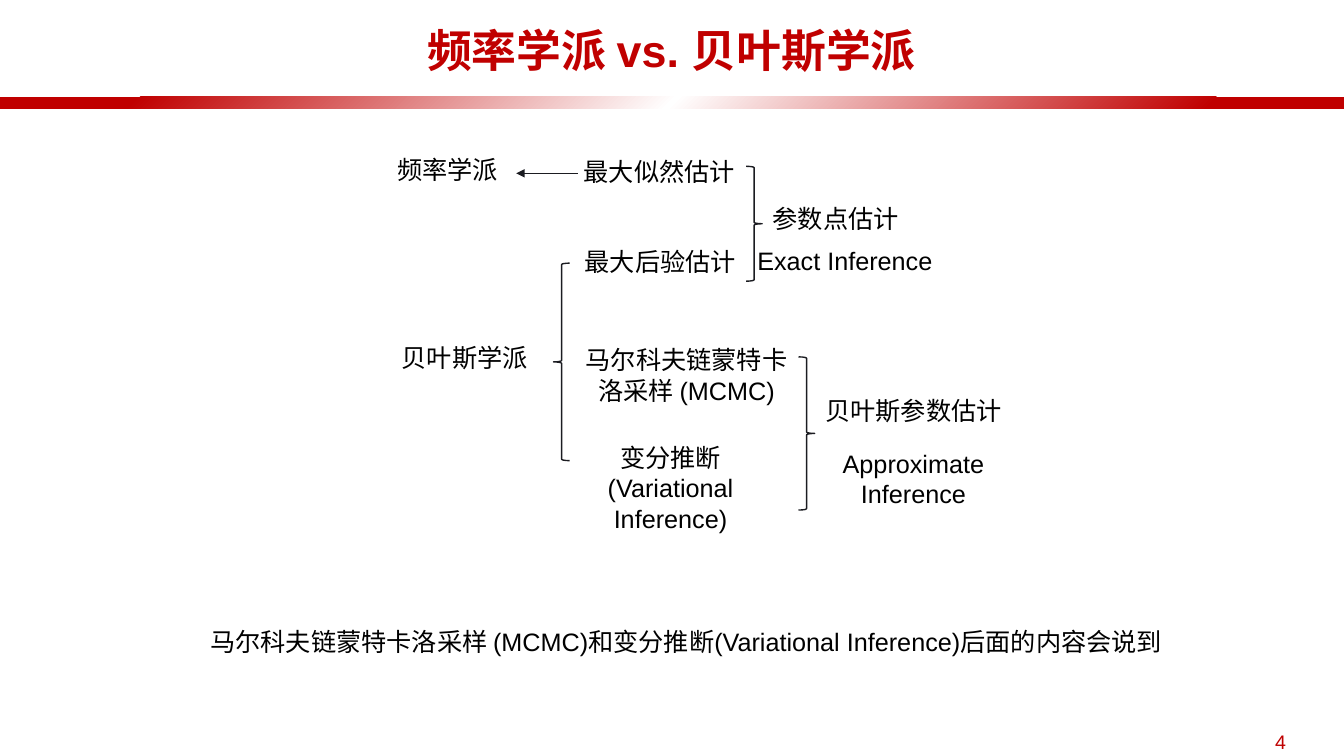
from dataclasses import dataclass

from lxml import etree
from pptx import Presentation
from pptx.dml.color import RGBColor
from pptx.enum.shapes import MSO_CONNECTOR, MSO_SHAPE
from pptx.enum.text import MSO_ANCHOR, MSO_AUTO_SIZE, PP_ALIGN
from pptx.oxml import parse_xml
from pptx.oxml.ns import nsdecls, qn
from pptx.slide import Slide
from pptx.text.text import TextFrame
from pptx.util import Inches, Pt

RECT, BRACE = MSO_SHAPE.RECTANGLE, MSO_SHAPE.RIGHT_BRACE
STRAIGHT = MSO_CONNECTOR.STRAIGHT
CENTER, MIDDLE, TOP = PP_ALIGN.CENTER, MSO_ANCHOR.MIDDLE, MSO_ANCHOR.TOP
GROW, FIXED = MSO_AUTO_SIZE.SHAPE_TO_FIT_TEXT, MSO_AUTO_SIZE.NONE


@dataclass(frozen=True)
class Theme:
    font: str = "Arial"
    accent: str = "C00000"
    white: str = "FFFFFF"
    text: str = "000000"
    line: str = "1B1C21"
    title_size: int = 32
    body_size: int = 18
    number_size: int = 14


@dataclass(frozen=True)
class Label:
    text: str
    left: float
    top: float
    width: float = 1.96
    height: float = 0.4


@dataclass(frozen=True)
class Brace:
    left: float
    top: float
    height: float
    rotation: int = 0
    width: float = 0.16


THEME = Theme()

LABELS = [
    # Schools
    Label("频率学派", 3.46, 1.48),
    Label("贝叶斯学派", 3.63, 3.35),
    # Methods
    Label("最大似然估计", 5.56, 1.5),
    Label("最大后验估计", 5.57, 2.39),
    Label("马尔科夫链蒙特卡洛采样 (MCMC)", 5.63, 3.37, 2.36, 0.71),
    Label("变分推断\n(Variational Inference)", 5.64, 4.34, 2.02, 1.01),
    # Kinds of inference
    Label("参数点估计", 7.31, 1.97),
    Label("Exact Inference", 7.4, 2.38),
    Label("贝叶斯参数估计", 8.08, 3.87),
    Label("Approximate Inference", 8.08, 4.4, height=0.71),
    # Closing remark
    Label("马尔科夫链蒙特卡洛采样 (MCMC)和变分推断(Variational Inference)后面的内容会说到",
          1.58, 6.16, 10.45),
]

BRACES = [
    Brace(7.4, 1.65, 1.14),
    Brace(5.49, 2.61, 1.96, rotation=180),
    Brace(7.92, 3.54, 1.52),
]


def set_text(tf: TextFrame, text: str, size: int, color: str,
             bold: bool = False) -> None:
    tf.text = text
    for p in tf.paragraphs:
        p.alignment = CENTER
        for r in p.runs:
            r.font.name = THEME.font
            r.font.size = Pt(size)
            r.font.bold = bold
            r.font.color.rgb = RGBColor.from_string(color)


def add_bar(s: Slide) -> None:
    sp = s.shapes.add_shape(RECT, 0, Inches(0.96), Inches(13.33), Inches(0.12))
    sp.shadow.inherit = False
    sp.line.fill.background()
    stops = [(10, THEME.accent), (50, THEME.white), (90, THEME.accent)]
    gs = "".join(f'<a:gs pos="{pos * 1000}"><a:srgbClr val="{color}"/></a:gs>'
                 for pos, color in stops)
    grad = parse_xml(f'<a:gradFill {nsdecls("a")} rotWithShape="1"><a:gsLst>{gs}'
                     '</a:gsLst><a:lin ang="2700000" scaled="0"/></a:gradFill>')
    sp._element.spPr.find(qn("a:prstGeom")).addnext(grad)


def add_title(s: Slide, text: str) -> None:
    title = s.shapes.title
    title.left, title.top = Inches(1.77), Inches(0.13)
    title.width, title.height = Inches(9.78), Inches(0.72)
    tf = title.text_frame
    tf.auto_size = FIXED
    tf.vertical_anchor = MIDDLE
    set_text(tf, text, THEME.title_size, THEME.accent, bold=True)


def add_label(s: Slide, label: Label, size: int = THEME.body_size,
              color: str = THEME.text, wrap: bool = True,
              anchor: MSO_ANCHOR = TOP) -> None:
    sp = s.shapes.add_textbox(Inches(label.left), Inches(label.top),
                              Inches(label.width), Inches(label.height))
    tf = sp.text_frame
    tf.word_wrap = wrap
    tf.auto_size = GROW
    tf.vertical_anchor = anchor
    set_text(tf, label.text, size, color)


def add_brace(s: Slide, brace: Brace) -> None:
    sp = s.shapes.add_shape(BRACE, Inches(brace.left), Inches(brace.top),
                            Inches(brace.width), Inches(brace.height))
    sp.shadow.inherit = False
    sp.rotation = brace.rotation
    sp.fill.background()
    sp.line.color.rgb = RGBColor.from_string(THEME.line)
    sp.line.width = Pt(1)


def add_arrow(s: Slide, x1: float, x2: float, y: float) -> None:
    cxn = s.shapes.add_connector(STRAIGHT, Inches(x1), Inches(y),
                                 Inches(x2), Inches(y))
    cxn.line.color.rgb = RGBColor.from_string(THEME.line)
    cxn.line.width = Pt(0.5)
    sp_pr = cxn._element.spPr
    etree.SubElement(sp_pr.find(qn("a:ln")), qn("a:tailEnd"), type="triangle")
    etree.SubElement(sp_pr, qn("a:effectLst"))


def main() -> None:
    prs = Presentation()
    prs.slide_width, prs.slide_height = Inches(13.33), Inches(7.5)
    s = prs.slides.add_slide(prs.slide_layouts[5])

    # Header and page number
    add_bar(s)
    add_title(s, "频率学派 vs. 贝叶斯学派")
    add_label(s, Label("4", 12.48, 7.19, 0.44, 0.34), THEME.number_size,
              THEME.accent, wrap=False, anchor=MIDDLE)

    # Diagram
    for label in LABELS:
        add_label(s, label)
    for brace in BRACES:
        add_brace(s, brace)
    add_arrow(s, 5.73, 5.12, 1.72)

    prs.save("out.pptx")


if __name__ == "__main__":
    main()
